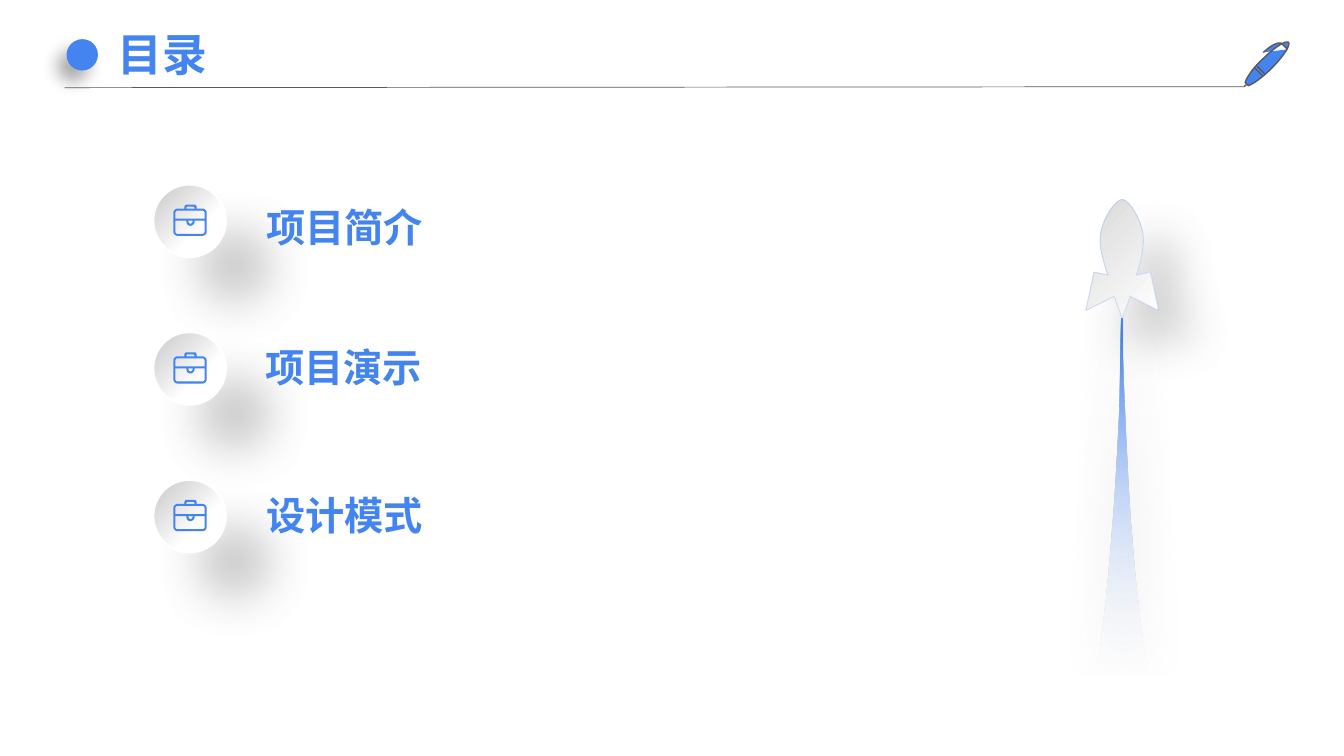
"""Build the contents slide with three topics and a rocket."""
from lxml import etree
from pptx import Presentation
from pptx.dml.color import RGBColor
from pptx.enum.shapes import MSO_CONNECTOR, MSO_SHAPE
from pptx.enum.text import MSO_ANCHOR
from pptx.oxml.ns import qn
from pptx.util import Inches, Pt

OVAL = MSO_SHAPE.OVAL
RECT = MSO_SHAPE.RECTANGLE
LINE = MSO_CONNECTOR.STRAIGHT
MIDDLE = MSO_ANCHOR.MIDDLE

COLORS = {
    "blue": "4384F1", "white": "FFFFFF", "silver": "D9D9D9",
    "gray": "C7C7C7", "dark": "595959", "shade": "808080", "black": "000000",
}
NOTO = "Noto Sans CJK SC"
GYRE = "TeX Gyre Adventor"

ROCKET = (
    "11.21 2.94, 11.49 3.08, 11.41 2.7, 11.27 2.73,"
    "11.31 2.62 11.34 2.48 11.34 2.38, 11.34 2.2 11.2 1.98 11.13 1.98,"
    "11.06 1.98 10.91 2.2 10.91 2.38, 10.91 2.48 10.95 2.62 10.99 2.73,"
    "10.85 2.7, 10.77 3.08, 11.05 2.94, 11.13 3.16 z"
)
TRAIL = (
    "11.12 3.16, 11.14 3.16, 11.14 3.53, 11.15 3.84 11.16 4.18 11.18 4.53,"
    "11.22 5.41 11.3 6.19 11.38 6.65, 11.4 6.78, 10.85 6.78, 10.88 6.65,"
    "10.96 6.19 11.03 5.41 11.08 4.53, 11.1 4.18 11.11 3.84 11.11 3.53 z"
)
PEN = (
    "12.52 .75, 12.45 .68; 12.47 .66, 12.54 .73;"
    "12.78 .42, 12.75 .4 12.64 .47 12.52 .59, 12.42 .68 12.36 .78 12.35 .82,"
    "12.38 .85, 12.42 .84 12.52 .77 12.61 .68, 12.73 .56 12.8 .45 12.78 .42 z;"
    "12.36 .84, 12.34 .86;"
    "12.77 .49, 12.71 .43, 12.71 .43 12.66 .4 12.53 .52"
)
CASE = (
    "2.01 2.07, 1.95 2.07, 1.95 2.05, 1.95 2.04 1.94 2.03 1.93 2.03,"
    "1.85 2.03, 1.84 2.03 1.83 2.04 1.83 2.05, 1.83 2.07, 1.76 2.07,"
    "1.74 2.07 1.72 2.09 1.72 2.11, 1.72 2.3, 1.72 2.32 1.74 2.34 1.76 2.34,"
    "2.01 2.34, 2.03 2.34 2.05 2.32 2.05 2.3, 2.05 2.11,"
    "2.05 2.09 2.03 2.07 2.01 2.07 z;"
    "1.85 2.06, 1.85 2.06 1.85 2.05 1.86 2.05, 1.92 2.05,"
    "1.92 2.05 1.93 2.06 1.93 2.06, 1.93 2.07, 1.85 2.07 z;"
    "2.03 2.3, 2.03 2.31 2.02 2.32 2.01 2.32, 1.76 2.32,"
    "1.75 2.32 1.74 2.31 1.74 2.3, 1.74 2.19, 1.85 2.19, 1.85 2.2,"
    "1.85 2.22 1.86 2.24 1.89 2.24, 1.91 2.24 1.93 2.22 1.93 2.2,"
    "1.93 2.19, 2.03 2.19 z;"
    "1.87 2.2, 1.87 2.19, 1.91 2.19, 1.91 2.2,"
    "1.91 2.21 1.9 2.22 1.89 2.22, 1.88 2.22 1.87 2.21 1.87 2.2 z;"
    "2.03 2.17, 1.74 2.17, 1.74 2.11, 1.74 2.1 1.75 2.09 1.76 2.09,"
    "2.01 2.09, 2.02 2.09 2.03 2.1 2.03 2.11 z"
)


def node(parent, tag, **attrs):
    return etree.SubElement(parent, qn("a:" + tag), {k: str(v) for k, v in attrs.items()})


def tint(parent, name, alpha):
    color = node(parent, "srgbClr", val=COLORS[name])
    if alpha < 100:
        node(color, "alpha", val=alpha * 1000)


def flatten(text, dy):
    points = []
    for part in text.split(","):
        nums = [float(n) for n in part.split()]
        if len(nums) == 2:
            points.append(nums)
            continue
        curve = list(zip([points[-1][0]] + nums[::2], [points[-1][1]] + nums[1::2]))
        for step in range(1, 13):
            t = step / 12
            mix = ((1 - t) ** 3, 3 * t * (1 - t) ** 2, 3 * t * t * (1 - t), t ** 3)
            points.append([sum(m * p[axis] for m, p in zip(mix, curve)) for axis in (0, 1)])
    return [(Inches(x), Inches(y + dy)) for x, y in points]


class Board:
    def __init__(self, slide):
        self.slide = slide
        self.shapes = slide.shapes

    def color(self, name):
        return RGBColor.from_string(COLORS[name])

    def style(self, shape, fill, angle=0, line=None, shadow=None):
        if isinstance(fill, str):
            shape.fill.solid()
            shape.fill.fore_color.rgb = self.color(fill)
        else:
            self.blend(shape, fill, angle)
        if line:
            name, width, alpha = line
            shape.line.color.rgb = self.color(name)
            shape.line.width = Pt(width)
            if alpha < 100:
                paint = shape.line._ln.find(".//" + qn("a:srgbClr"))
                node(paint, "alpha", val=alpha * 1000)
        else:
            shape.line.fill.background()
        shape.shadow.inherit = False
        if shadow:
            name, alpha, blur, dist, way = shadow
            effects = shape._element.spPr.find(qn("a:effectLst"))
            drop = node(effects, "outerShdw", blurRad=Pt(blur), dist=Pt(dist),
                        dir=way * 60000, algn="ctr", rotWithShape=0)
            tint(drop, name, alpha)
        return shape

    def blend(self, shape, stops, angle):
        shape.fill.gradient()
        grad = shape._element.spPr.find(qn("a:gradFill"))
        items = grad.find(qn("a:gsLst"))
        for old in list(items):
            items.remove(old)
        for pos, name, alpha in stops:
            tint(node(items, "gs", pos=pos * 1000), name, alpha)
        grad.find(qn("a:lin")).set("ang", str(angle * 60000))

    def shape(self, kind, box, fill, **look):
        return self.style(self.shapes.add_shape(kind, *map(Inches, box)), fill, **look)

    def outline(self, text, fill, dy=0, **look):
        maker = None
        for part in text.split(";"):
            points = flatten(part.replace("z", ""), dy)
            if maker is None:
                maker = self.shapes.build_freeform(*points[0], scale=1.0)
            else:
                maker.move_to(*points[0])
            maker.add_line_segments(points[1:], close="z" in part)
        return self.style(maker.convert_to_shape(), fill, **look)

    def text(self, box, words, size, font, wrap=True):
        frame = self.shapes.add_textbox(*map(Inches, box)).text_frame
        frame.word_wrap = wrap
        frame.vertical_anchor = MIDDLE
        frame.text = words
        run = frame.paragraphs[0].runs[0]
        run.font.size = Pt(size)
        run.font.bold = True
        run.font.name = font
        run.font.color.rgb = self.color("blue")
        node(run._r.get_or_add_rPr(), "ea", typeface=NOTO)

    def rule(self, start, end, name, width):
        line = self.shapes.add_connector(LINE, *map(Inches, start + end))
        line.line.color.rgb = self.color(name)
        line.line.width = Pt(width)
        node(line._element.spPr, "effectLst")

    def group(self, *parts):
        self.shapes.add_group_shape(parts)


def main():
    deck = Presentation()
    deck.slide_width, deck.slide_height = Inches(13.33), Inches(7.5)
    board = Board(deck.slides.add_slide(deck.slide_layouts[6]))

    rocket = board.outline(ROCKET, [(0, "white", 100), (100, "silver", 100)], angle=225,
                           line=("blue", 0, 20), shadow=("shade", 40, 33, 35, 45))
    trail = board.outline(TRAIL, [(0, "white", 0), (95, "blue", 100)], angle=270,
                          shadow=("shade", 40, 33, 2, 45))
    board.group(rocket, trail)
    board.shape(RECT, (9.74, 6.71, 2.89, 0.79), "white")

    dot = board.shape(OVAL, (0.66, 0.39, 0.31, 0.31), "blue",
                      shadow=("black", 32, 12, 10, 130))
    board.group(dot, board.shape(OVAL, (0.67, 0.39, 0.3, 0.3), "blue"))
    board.text((1.07, 0.21, 1.1, 0.64), "目录", 32, NOTO, wrap=False)
    board.rule((0.64, 0.87), (12.34, 0.86), "dark", 0.5)
    board.outline(PEN, "blue", line=("dark", 1, 100))

    disc = [(0, "white", 100), (36, "white", 100), (100, "gray", 100)]
    topics = [("项目简介", 2.54, 1.97, 1.89, NOTO),
              ("项目演示", 2.53, 3.35, 2.32, GYRE),
              ("设计模式", 2.54, 4.82, 2.32, GYRE)]
    for row, (words, left, top, width, font) in enumerate(topics):
        drop = row * 1.465
        board.shape(OVAL, (1.52, 1.83 + drop, 0.72, 0.72), disc, angle=225,
                    line=("white", 1.5, 100), shadow=("shade", 40, 33, 45, 45))
        board.outline(CASE, "blue", dy=drop)
        board.text((left, top, width, 0.57), words, 28, font)

    deck.save("out.pptx")


if __name__ == "__main__":
    main()
